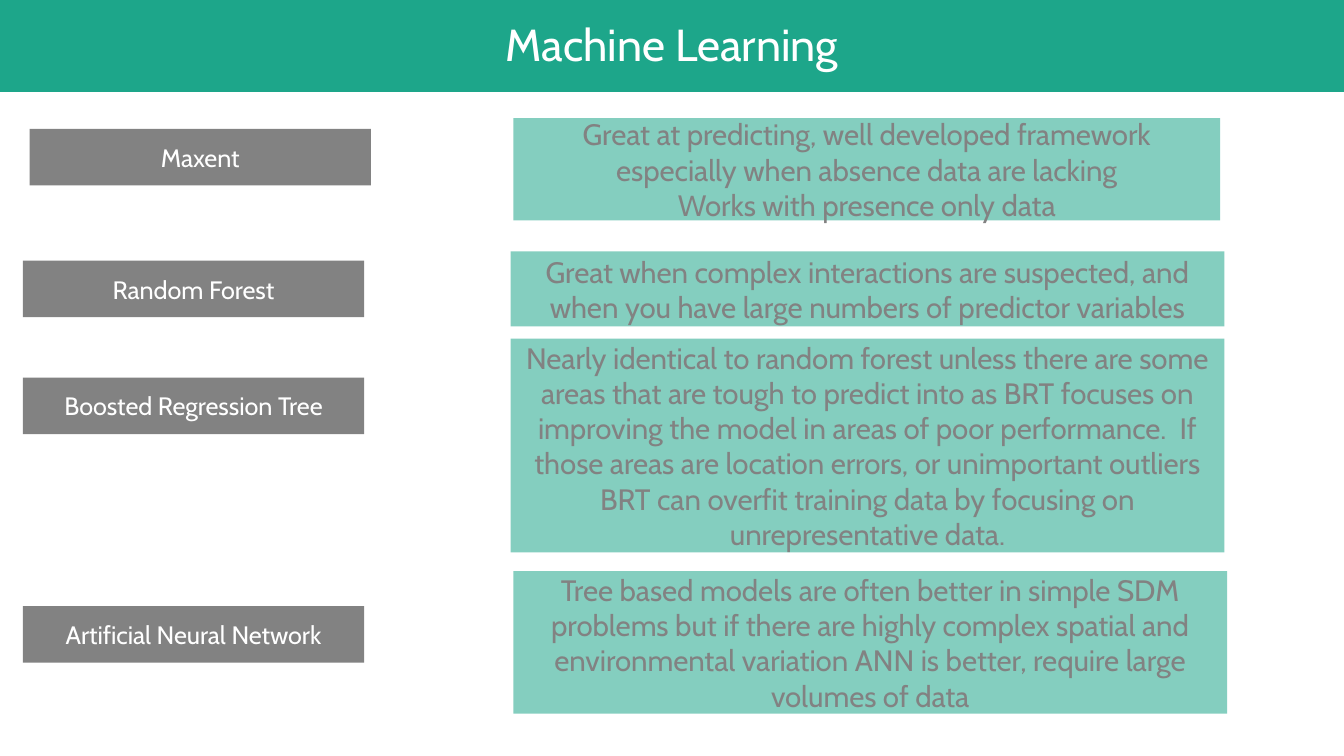
from lxml import etree
from pptx import Presentation
from pptx import util as u
from pptx.dml import color
from pptx.enum import shapes, text
from pptx.oxml import ns

COLORS = {"teal": "1DA68A", "gray": "828282", "white": "FFFFFF"}
FONT = "Cabin"
CELL = u.Inches(0.01)
COLUMNS = 1000
HEADER_ROWS = 65
LABEL_WIDTH, LABEL_HEIGHT = 254, 42

METHODS = [
    ("Maxent",
     "Great at predicting, well developed framework especially when absence "
     "data are lacking\nWorks with presence only data",
     (22, 88, 886, 76), 8, 360, 526),
    ("Random Forest",
     "Great when complex interactions are suspected, and when you have large "
     "numbers of predictor variables",
     (17, 187, 894, 56), 7, 363, 531),
    ("Boosted Regression Tree",
     "Nearly identical to random forest unless there are some areas that are "
     "tough to predict into as BRT focuses on improving the model in areas of "
     "poor performance.  If those areas are location errors, or unimportant "
     "outliers BRT can overfit training data by focusing on unrepresentative "
     "data.",
     (17, 252, 894, 159), 29, 363, 531),
    ("Artificial Neural Network",
     "Tree based models are often better in simple SDM problems but if there "
     "are highly complex spatial and environmental variation ANN is better, "
     "require large volumes of data",
     (17, 425, 896, 106), 26, 365, 531),
]


def rgb(name):
    return color.RGBColor.from_string(COLORS[name])


def add_panel(page, box, words, size, fill, ink, alpha=None):
    panel = page.shapes.add_shape(
        shapes.MSO_SHAPE.RECTANGLE, *(CELL * side for side in box))
    panel.shadow.inherit = False
    panel.fill.solid()
    panel.fill.fore_color.rgb = rgb(fill)
    panel.line.fill.background()
    if alpha:
        tint = panel.fill._xPr.find(".//" + ns.qn("a:srgbClr"))
        etree.SubElement(tint, ns.qn("a:alpha"), val=str(alpha * 1000))
    frame = panel.text_frame
    frame.word_wrap = True
    frame.vertical_anchor = text.MSO_ANCHOR.MIDDLE
    frame.text = words
    for para in frame.paragraphs:
        para.alignment = text.PP_ALIGN.CENTER
        for span in para.runs:
            span.font.name = FONT
            span.font.size = u.Pt(size)
            span.font.color.rgb = rgb(ink)
    return panel


def add_header(page, box, title):
    left, top, width, height = box
    band = add_panel(page, box, title, 24, "teal", "white")
    band.line.color.rgb = rgb("teal")
    band.line.width = u.Pt(0.75)
    bottom = CELL * (top + height)
    rule = page.shapes.add_connector(
        shapes.MSO_CONNECTOR.STRAIGHT,
        CELL * left, bottom, CELL * (left + width), bottom)
    rule.line.color.rgb = rgb("teal")
    rule.line.width = u.Pt(4.5)
    etree.SubElement(rule._element.spPr, ns.qn("a:effectLst"))


def add_method(page, box, name, advice, label_drop, indent, advice_width):
    left, top, width, height = box
    label_box = (left, top + label_drop, LABEL_WIDTH, LABEL_HEIGHT)
    advice_box = (left + indent, top, advice_width, height)
    add_panel(page, label_box, name, 13.5, "gray", "white")
    add_panel(page, advice_box, advice, 15.75, "teal", "gray", alpha=54)


def main():
    deck = Presentation()
    deck.slide_width = CELL * COLUMNS
    deck.slide_height = deck.slide_width * 9 // 16
    page = deck.slides.add_slide(deck.slide_layouts[6])
    add_header(page, (0, 0, COLUMNS, HEADER_ROWS), "Machine Learning")
    for name, advice, box, label_drop, indent, advice_width in METHODS:
        add_method(page, box, name, advice, label_drop, indent, advice_width)
    deck.save("out.pptx")


if __name__ == "__main__":
    main()
